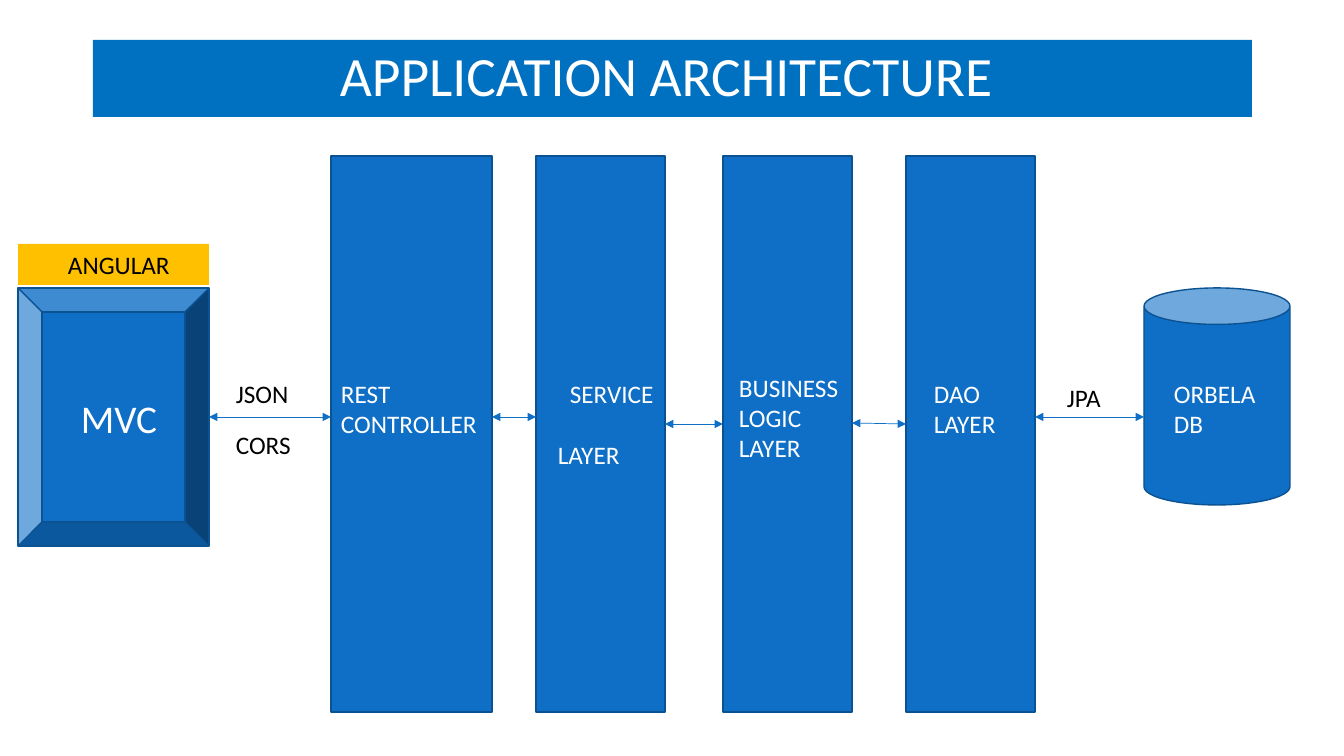
from lxml import etree
from pptx import Presentation, util as u
from pptx.dml.color import RGBColor
from pptx.enum import shapes, text
from pptx.oxml.ns import qn

PX = 914400 / 100.8
TITLE_BLUE = RGBColor(0x00, 0x70, 0xC0)
BLUE = RGBColor(0x0F, 0x6F, 0xC6)
DARK_BLUE = RGBColor(0x0B, 0x52, 0x92)
AMBER = RGBColor(0xFF, 0xC0, 0x00)
WHITE = RGBColor(0xFF, 0xFF, 0xFF)
BLACK = RGBColor(0x00, 0x00, 0x00)
KIND = shapes.MSO_SHAPE
TOP, MIDDLE = text.MSO_ANCHOR.TOP, text.MSO_ANCHOR.MIDDLE


def px(*lengths):
    return [u.Emu(round(length * PX)) for length in lengths]


class Diagram:
    font = "Calibri"

    def __init__(self, deck):
        self.page = deck.slides.add_slide(deck.slide_layouts[6])

    def fill_text(self, box, lines, size=18, color=WHITE, indent=0, anchor=TOP, **spacing):
        """Fill a box with one paragraph per line; indent shifts the first."""
        frame = box.text_frame
        frame.word_wrap = True
        frame.vertical_anchor = anchor
        for number, line in enumerate(lines):
            para = frame.add_paragraph() if number else frame.paragraphs[0]
            para.alignment = text.PP_ALIGN.LEFT
            span = para.add_run()
            span.text = line
            for name, value in {"name": self.font, "size": u.Pt(size)}.items():
                setattr(span.font, name, value)
            span.font.color.rgb = color
            for name, value in spacing.items():
                setattr(para, name, value)
            if not number:
                para.space_before = u.Pt(0)
                para._p.get_or_add_pPr().set("indent", str(px(indent)[0]))

    def shape(self, kind, place, fill=BLUE, line=DARK_BLUE):
        box = self.page.shapes.add_shape(kind, *px(*place))
        box.shadow.inherit = False
        box.fill.solid()
        box.fill.fore_color.rgb = fill
        if line is None:
            box.line.fill.background()
        else:
            box.line.color.rgb = line
            box.line.width = u.Pt(1)
        return box

    def label(self, place, *lines, **style):
        self.fill_text(self.page.shapes.add_textbox(*px(*place)), lines, **style)

    def arrow(self, left, right, start, end):
        link = self.page.shapes.add_connector(
            shapes.MSO_CONNECTOR.STRAIGHT, *px(left, start, right, end))
        link.line.color.rgb = BLUE
        link.line.width = u.Pt(0.5)
        outline = link._element.spPr.find(qn("a:ln"))
        for tip in ("a:headEnd", "a:tailEnd"):
            etree.SubElement(outline, qn(tip), type="triangle")
        etree.SubElement(link._element.spPr, qn("a:effectLst"))


def main():
    deck = Presentation()
    deck.slide_width, deck.slide_height = px(1344, 756)
    diagram = Diagram(deck)

    # Title band
    band = diagram.shape(KIND.RECTANGLE, (93, 40, 1159, 77), TITLE_BLUE, None)
    diagram.fill_text(band, ["APPLICATION ARCHITECTURE"], size=39.6, indent=237,
                      anchor=MIDDLE, line_spacing=0.9)

    # Database
    diagram.shape(KIND.CAN, (1144, 288, 146, 217))
    diagram.label((1164, 373, 114, 72), "ORBELA DB")

    # Layers: column left and width, then label place
    layers = [
        (331, 161, (331, 373, 161, 72), ["REST CONTROLLER"], {}),
        (536, 129, (548, 373, 129, 72), ["SERVICE", "LAYER"],
         {"indent": 12, "space_before": u.Pt(22)}),
        (723, 129, (729, 367, 129, 102), ["BUSINESS LOGIC LAYER"], {}),
        (906, 129, (924, 373, 93, 72), ["DAO LAYER"], {}),
    ]
    for left, width, place, lines, style in layers:
        diagram.shape(KIND.RECTANGLE, (left, 156, width, 556))
        diagram.label(place, *lines, **style)

    # Front end
    diagram.shape(KIND.BEVEL, (18, 288, 191, 258))
    diagram.label((59, 389, 117, 57), "MVC", size=28, indent=12)
    header = diagram.shape(KIND.RECTANGLE, (18, 244, 191, 41), AMBER, None)
    diagram.fill_text(header, ["ANGULAR"], color=BLACK, indent=40)

    # Links between neighbours, with start and end heights
    edges = [209, *(edge for left, width, *_ in layers for edge in (left, left + width)), 1144]
    heights = [(417, 417), (417, 417), (424, 424), (423, 424), (417, 417)]
    for left, right, (start, end) in zip(edges[::2], edges[1::2], heights):
        diagram.arrow(left, right, start, end)

    # Protocol labels
    for name, place, indent in [("JSON", (209, 373, 122, 40), 17),
                                ("CORS", (209, 424, 122, 40), 17),
                                ("JPA", (1057, 377, 87, 40), 0)]:
        diagram.label(place, name, color=BLACK, indent=indent)

    deck.save("out.pptx")


if __name__ == "__main__":
    main()
